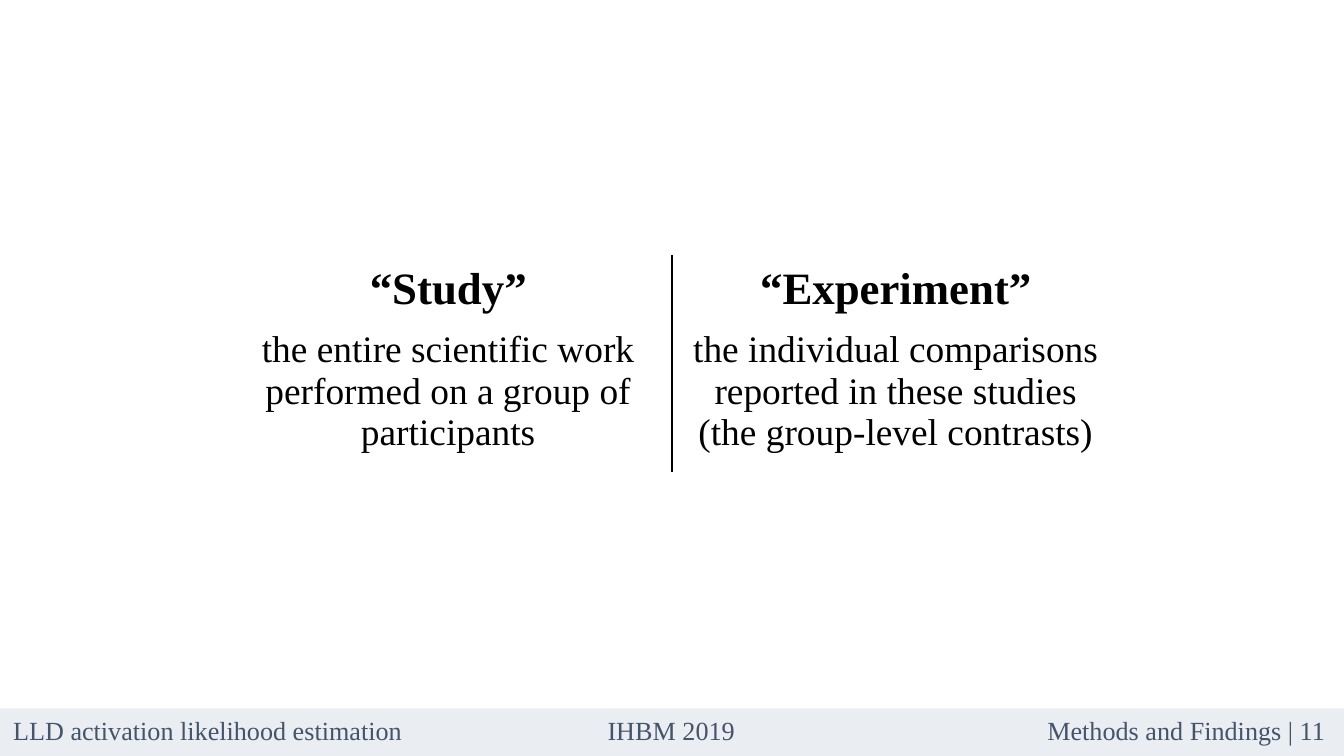
from lxml import etree
from pptx import Presentation
from pptx import util as u
from pptx.dml.color import RGBColor
from pptx.enum import shapes, text
from pptx.oxml import ns

COLORS = {"bar": "EAEDF2", "footer": "44546A", "ink": "000000"}
FONT = "Times New Roman"
NO_STYLE_NO_GRID = "{2D5ABB26-0587-4C30-8999-92F81FD0307C}"
ALIGN = text.PP_ALIGN

FOOTER = [
    ("LLD activation likelihood estimation", 0, 3.44, ALIGN.LEFT),
    ("IHBM 2019", 4.08, 1.83, ALIGN.CENTER),
    ("Methods and Findings | 11", 7.46, 2.5, ALIGN.RIGHT),
]
TERMS = [
    ("“Study”", "the entire scientific work performed on a group of participants"),
    ("“Experiment”", "the individual comparisons reported in these studies "
                     "(the group-level contrasts)"),
]


def rgb(name):
    return RGBColor.from_string(COLORS[name])


def write(tf, words, align, color, **fmt):
    tf.word_wrap = True
    p = tf.paragraphs[0]
    p.alignment = align
    r = p.add_run()
    r.text = words
    r.font.color.rgb = rgb(color)
    for key, value in {"name": FONT, **fmt}.items():
        setattr(r.font, key, value)


def add_edge(cell, side):
    """Draw a 1 pt border on one side ("L" or "R") of a table cell."""
    ln = etree.Element(ns.qn(f"a:ln{side}"), w=str(u.Pt(1)))
    fill = etree.SubElement(ln, ns.qn("a:solidFill"))
    etree.SubElement(fill, ns.qn("a:srgbClr"), val=COLORS["ink"])
    cell._tc.get_or_add_tcPr().insert(0, ln)


def add_definitions(s, left, top, width, heights):
    """Place the terms side by side, with a rule between the columns."""
    table = s.shapes.add_table(
        len(heights), len(TERMS), u.Inches(left), u.Inches(top),
        u.Inches(width), u.Inches(sum(heights))).table
    table.first_row = table.horz_banding = False
    table._tbl.tblPr.find(ns.qn("a:tableStyleId")).text = NO_STYLE_NO_GRID
    for row, height in zip(table.rows, heights):
        row.height = u.Inches(height)
    for col, (term, meaning) in enumerate(TERMS):
        table.columns[col].width = u.Inches(width / len(TERMS))
        head, body = table.cell(0, col), table.cell(1, col)
        head.vertical_anchor = text.MSO_ANCHOR.MIDDLE
        write(head.text_frame, term, ALIGN.CENTER, "ink", size=u.Pt(24), bold=True)
        write(body.text_frame, meaning, ALIGN.CENTER, "ink", size=u.Pt(20), bold=False)
        for cell in (head, body):
            cell.fill.background()
            add_edge(cell, "RL"[col])


def add_footer(s, left, top, width, height):
    group = s.shapes.add_group_shape()
    bar = group.shapes.add_shape(
        shapes.MSO_SHAPE.RECTANGLE, u.Inches(left), u.Inches(top),
        u.Inches(width), u.Inches(height))
    bar.shadow.inherit = False
    bar.fill.solid()
    bar.fill.fore_color.rgb = rgb("bar")
    bar.line.fill.background()
    for words, x, w, align in FOOTER:
        box = group.shapes.add_textbox(
            u.Inches(left + x), u.Inches(top), u.Inches(w), u.Inches(0.34))
        write(box.text_frame, words, align, "footer", size=u.Pt(14))


def main():
    prs = Presentation()
    prs.slide_width, prs.slide_height = u.Inches(10), u.Inches(10 * 9 / 16)
    s = prs.slides.add_slide(prs.slide_layouts.get_by_name("Blank"))
    add_footer(s, 0, 5.27, 10, 0.38)
    add_definitions(s, 1.67, 1.9, 6.66, [0.49, 1.11])
    prs.save("out.pptx")


if __name__ == "__main__":
    main()
